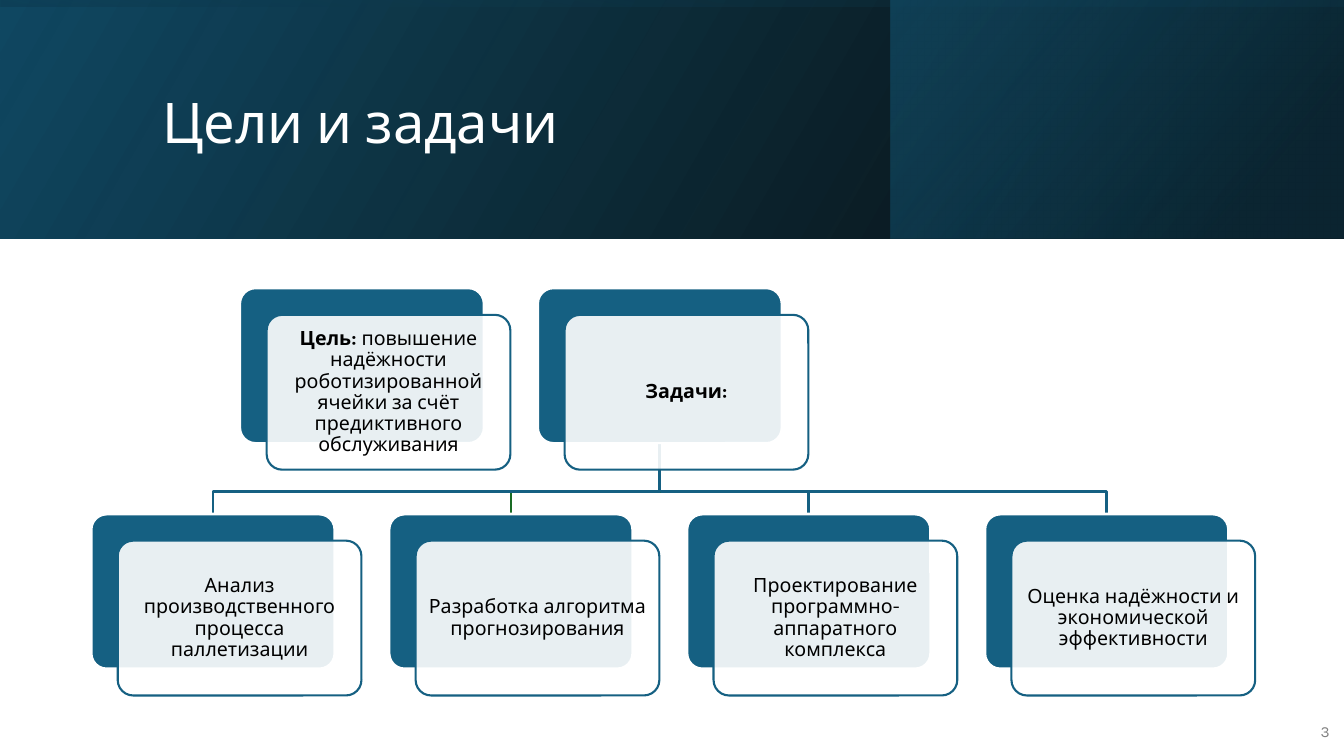
from dataclasses import dataclass

from lxml import etree
from pptx import Presentation
from pptx.dml.color import RGBColor
from pptx.enum import shapes, text
from pptx.oxml import ns
from pptx.util import Pt


@dataclass(frozen=True)
class Theme:
    font: str = "Karla"
    white: str = "FFFFFF"
    black: str = "000000"
    grey: str = "808080"
    blue: str = "156082"
    navy: str = "104862"
    deep: str = "0B3041"
    green: str = "196B24"
    title: int = 40
    body: int = 14
    number: int = 11


T = Theme()
SLIDE_W, SLIDE_H, BANNER_H = 960, 540, 170.7
CARD_W, CARD_H, CARD_SHIFT = 174.1, 110.6, 19
CARD_LEFT, CARD_PITCH = 65.1, 212.8
GOAL_TOP, TASK_TOP, ELBOW_Y = 205.9, 367.2, 351.2

GOALS = [
    [("Цель: ", True),
     ("повышение надёжности роботизированной ячейки за счёт предиктивного обслуживания", False)],
    [("Задачи:", True)],
]
TASKS = [
    "Анализ производственного процесса паллетизации",
    "Разработка алгоритма прогнозирования",
    "Проектирование программно-аппаратного комплекса",
    "Оценка надёжности и экономической эффективности",
]


def rgb(value):
    return RGBColor.from_string(value)


def add_alpha(color, percent):
    etree.SubElement(color, ns.qn("a:alpha")).set("val", str(percent * 1000))


def add_gradient(s, box, angle, stops, rotation=0):
    sp = s.shapes.add_shape(shapes.MSO_SHAPE.RECTANGLE, *map(Pt, box))
    sp.shadow.inherit = False
    sp.line.fill.background()
    sp.rotation = rotation
    sp._element.spPr.xfrm.set("flipH", "1")
    sp.fill.gradient()
    grad = sp._element.spPr.find(ns.qn("a:gradFill"))
    grad.clear()
    grad.set("rotWithShape", "1")
    stop_list = etree.SubElement(grad, ns.qn("a:gsLst"))
    for position, value, alpha in stops:
        stop = etree.SubElement(stop_list, ns.qn("a:gs"), pos=str(position * 1000))
        add_alpha(etree.SubElement(stop, ns.qn("a:srgbClr"), val=value), alpha)
    etree.SubElement(grad, ns.qn("a:lin"), ang=str(angle * 60000), scaled="0")


def add_text(parent, box, parts, size, color, align, inset=(7.2, 3.6), spacing=1, after=0):
    tf = parent.add_textbox(*map(Pt, box)).text_frame
    tf.word_wrap = True
    tf.vertical_anchor = text.MSO_ANCHOR.MIDDLE
    tf.margin_left = tf.margin_right = Pt(inset[0])
    tf.margin_top = tf.margin_bottom = Pt(inset[1])
    p = tf.paragraphs[0]
    p.alignment, p.line_spacing, p.space_after = align, spacing, Pt(after)
    for words, bold in parts:
        r = p.add_run()
        r.text = words
        r.font.name, r.font.size, r.font.bold = T.font, Pt(size), bold
        r.font.color.rgb = rgb(color)


def add_panel(group, left, top, fill, line, width):
    sp = group.shapes.add_shape(shapes.MSO_SHAPE.ROUNDED_RECTANGLE,
                                Pt(left), Pt(top), Pt(CARD_W), Pt(CARD_H))
    sp.shadow.inherit = False
    sp.adjustments[0] = 0.1
    sp.fill.solid()
    sp.fill.fore_color.rgb = rgb(fill)
    sp.line.color.rgb = rgb(line)
    sp.line.width = Pt(width)
    return sp


def add_card(group, column, top, parts, border):
    left = CARD_LEFT + column * CARD_PITCH
    add_panel(group, left, top, T.blue, T.white, border)
    front = add_panel(group, left + CARD_SHIFT, top + CARD_SHIFT, T.white, T.blue, 1.5)
    add_alpha(front._element.spPr.find(ns.qn("a:solidFill"))[0], 90)
    pad = 3.2
    box = (left + CARD_SHIFT + pad, top + CARD_SHIFT + pad, CARD_W - 2 * pad, CARD_H - 2 * pad)
    add_text(group.shapes, box, parts, T.body, T.black, text.PP_ALIGN.CENTER,
             inset=(4.3, 4.3), spacing=0.9, after=5)


def add_branch(group, column, color, width):
    start_x, end_x = (CARD_LEFT + c * CARD_PITCH + CARD_W / 2 for c in (1.5, column))
    points = [(start_x, ELBOW_Y), (end_x, ELBOW_Y), (end_x, TASK_TOP)]
    builder = group.shapes.build_freeform(Pt(start_x), Pt(GOAL_TOP + CARD_H))
    builder.add_line_segments([(Pt(x), Pt(y)) for x, y in points], close=False)
    sp = builder.convert_to_shape()
    sp.shadow.inherit = False
    sp.fill.background()
    sp.line.color.rgb = rgb(color)
    sp.line.width = Pt(width)


def add_banner(s):
    add_gradient(s, (0, 0, SLIDE_W, BANNER_H), 330, [(0, T.black, 96), (100, T.navy, 100)])
    add_gradient(s, (636.5, 0, SLIDE_W - 636.5, BANNER_H), 320,
                 [(19, T.deep, 68), (100, T.blue, 48)])
    add_gradient(s, ((SLIDE_W - BANNER_H) / 2, (BANNER_H - SLIDE_W) / 2, BANNER_H, SLIDE_W), 350,
                 [(23, T.navy, 16), (99, T.black, 45)], rotation=270)
    add_text(s.shapes, (108.7, 27.4, 765.4, 123.8), [("Цели и задачи", False)],
             T.title, T.white, text.PP_ALIGN.LEFT, spacing=0.9)


def main():
    prs = Presentation()
    prs.slide_width, prs.slide_height = Pt(SLIDE_W), Pt(SLIDE_H)
    s = prs.slides.add_slide(prs.slide_layouts[6])
    add_banner(s)
    add_text(s.shapes, (921.6, 508.3, 35.3, 28.8), [("3", False)],
             T.number, T.grey, text.PP_ALIGN.RIGHT, after=6)
    diagram = s.shapes.add_group_shape()
    for column in (3, 2, 1, 0):
        color, width = (T.green, 1.5) if column == 1 else (T.blue, 2)
        add_branch(diagram, column, color, width)
    for i, parts in enumerate(GOALS):
        add_card(diagram, i + 0.5, GOAL_TOP, parts, 1.5)
    for i, task in enumerate(TASKS):
        add_card(diagram, i, TASK_TOP, [(task, False)], 2)
    prs.save("out.pptx")


if __name__ == "__main__":
    main()
